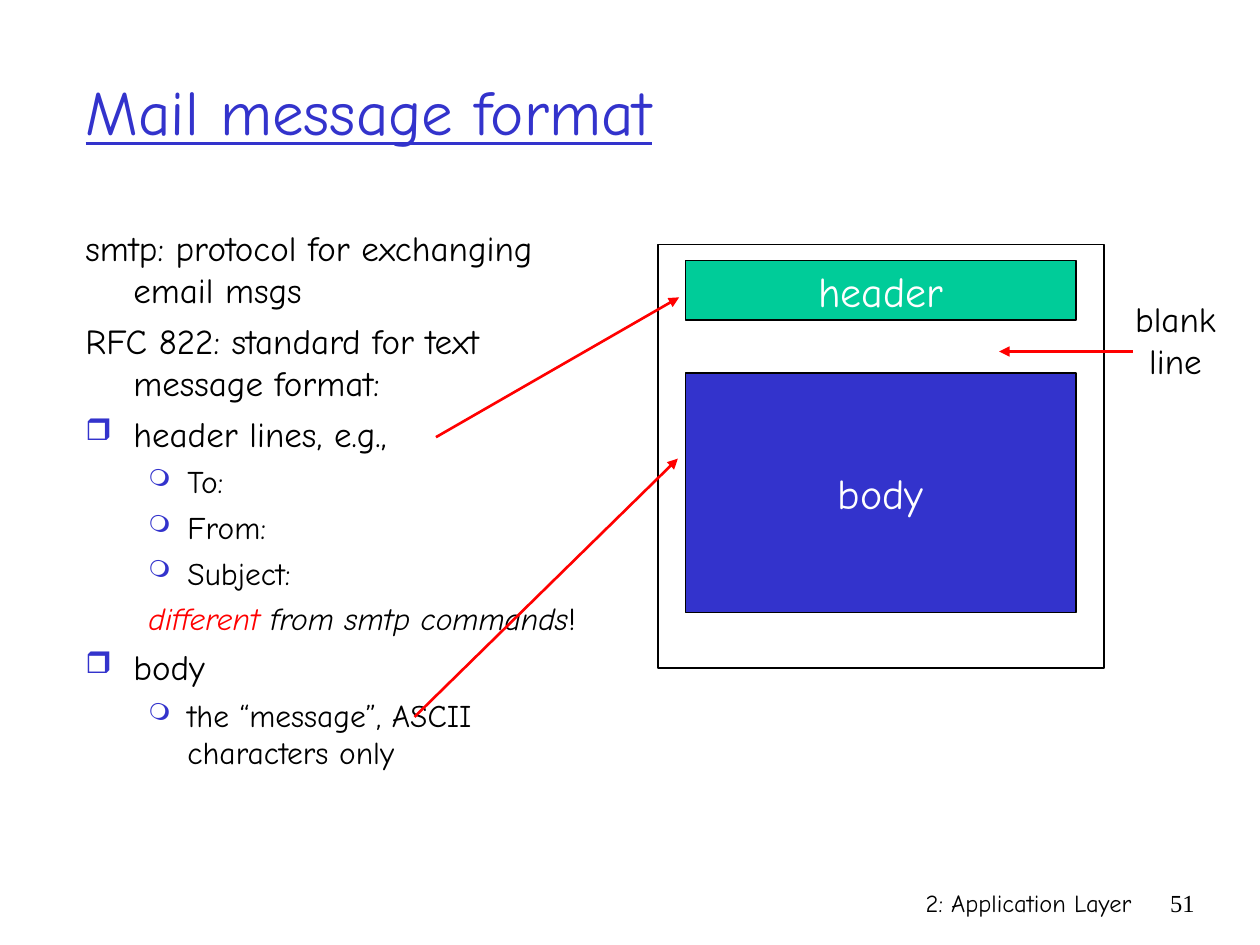
from dataclasses import dataclass

import pptx
import pptx.dml.color
import pptx.enum.shapes
import pptx.enum.text
import pptx.oxml
import pptx.oxml.ns
import pptx.util

Inches = pptx.util.Inches
Pt = pptx.util.Pt
Align = pptx.enum.text.PP_ALIGN
Anchor = pptx.enum.text.MSO_ANCHOR
Shapes = pptx.enum.shapes.MSO_SHAPE


@dataclass(frozen=True)
class Theme:
    font: str = "Comic Neue"
    serif: str = "Times New Roman"
    ink: str = "000000"
    paper: str = "FFFFFF"
    blue: str = "3333CC"
    green: str = "00CC99"
    red: str = "FF0000"
    title: int = 36
    label: int = 24
    text: int = 20
    sub: int = 18
    foot: int = 14


theme = Theme()

# Per level: left margin, hanging indent, type size, space before, bullet, bullet size in %
LEVELS = [
    (0.38, -0.38, theme.text, 5, "❒", 85),
    (0.81, -0.31, theme.sub, 4.5, "❍", 75),
]

# Level, bulleted, runs of (text, colour, italic)
NOTES = [
    (0, False, [("smtp: protocol for exchanging email msgs", theme.ink, False)]),
    (0, False, [("RFC 822: standard for text message format:", theme.ink, False)]),
    (0, True, [("header lines, e.g.,", theme.ink, False)]),
    (1, True, [("To:", theme.ink, False)]),
    (1, True, [("From:", theme.ink, False)]),
    (1, True, [("Subject:", theme.ink, False)]),
    (1, False, [("different ", theme.red, True),
                ("from smtp commands", theme.ink, True),
                ("!", theme.ink, False)]),
    (0, True, [("body", theme.ink, False)]),
    (1, True, [("the “message”, ASCII characters only", theme.ink, False)]),
]


def rgb(code):
    return pptx.dml.color.RGBColor.from_string(code)


def add_run(para, text, size, color=theme.ink, font=theme.font, italic=False):
    run = para.add_run()
    run.text = text
    run.font.size = Pt(size)
    run.font.name = font
    run.font.italic = italic
    run.font.color.rgb = rgb(color)
    return run


def add_xml(parent, tag, body=""):
    space = pptx.oxml.ns.nsdecls("a")
    parent.append(pptx.oxml.parse_xml(f"<a:{tag} {space} {body}"))


def set_bullet(para, mark, size):
    props = para._p.get_or_add_pPr()
    add_xml(props, "buClr", f'><a:srgbClr val="{theme.blue}"/></a:buClr>')
    add_xml(props, "buSzPct", f'val="{size * 1000}"/>')
    add_xml(props, "buChar", f'char="{mark}"/>')


def add_box(slide, box, lines, size, align, font=theme.font, wrap=True):
    frame = slide.shapes.add_textbox(*map(Inches, box)).text_frame
    frame.word_wrap = wrap
    for i, line in enumerate(lines):
        para = frame.paragraphs[0] if i == 0 else frame.add_paragraph()
        para.alignment = align
        add_run(para, line, size, font=font)


def add_title(slide, box, text):
    title = slide.shapes.title
    title.left, title.top, title.width, title.height = map(Inches, box)
    frame = title.text_frame
    frame.word_wrap = True
    frame.auto_size = pptx.enum.text.MSO_AUTO_SIZE.NONE
    frame.vertical_anchor = Anchor.MIDDLE
    para = frame.paragraphs[0]
    para.alignment = Align.LEFT
    add_run(para, text, theme.title, theme.blue).font.underline = True


def add_notes(slide, box):
    """Place the outline of points on the left."""
    frame = slide.shapes.add_textbox(*map(Inches, box)).text_frame
    frame.word_wrap = True
    for i, (level, marked, runs) in enumerate(NOTES):
        margin, indent, size, space, mark, scale = LEVELS[level]
        para = frame.paragraphs[0] if i == 0 else frame.add_paragraph()
        para.level = level
        props = para._p.get_or_add_pPr()
        props.set("marL", str(Inches(margin)))
        props.set("indent", str(Inches(indent)))
        if marked:
            set_bullet(para, mark, scale)
        if i:
            para.space_before = Pt(space)
        for text, color, italic in runs:
            add_run(para, text, size, color, italic=italic)


def add_rect(slide, box, fill=None, width=0.75, text=None):
    rect = slide.shapes.add_shape(Shapes.RECTANGLE, *map(Inches, box))
    rect.shadow.inherit = False
    rect.line.color.rgb = rgb(theme.ink)
    rect.line.width = Pt(width)
    if fill:
        rect.fill.solid()
        rect.fill.fore_color.rgb = rgb(fill)
    else:
        rect.fill.background()
    if text:
        frame = rect.text_frame
        frame.word_wrap = False
        frame.vertical_anchor = Anchor.MIDDLE
        para = frame.paragraphs[0]
        para.alignment = Align.CENTER
        add_run(para, text, theme.label, theme.paper)


def add_mail(slide, box):
    """Draw the message frame with its header and body blocks."""
    left, top, width, height = box
    pad = 0.22
    inner = width - 2 * pad
    add_rect(slide, (left + pad, top + 0.13, inner, 0.47), theme.green, text="header")
    add_rect(slide, (left + pad, top + 1.02, inner, 1.9), theme.blue, text="body")
    add_rect(slide, box, width=1)


def add_arrow(slide, start, end):
    kind = pptx.enum.shapes.MSO_CONNECTOR.STRAIGHT
    arrow = slide.shapes.add_connector(kind, *map(Inches, start + end))
    arrow.line.color.rgb = rgb(theme.red)
    arrow.line.width = Pt(1.5)
    add_xml(arrow.line._get_or_add_ln(), "tailEnd", 'type="triangle"/>')
    add_xml(arrow._element.spPr, "effectLst", "/>")


def add_footer(slide, box):
    left, top, width, height = box
    num = 0.5
    add_box(slide, (left, top, width - num, height), ["2: Application Layer"],
            theme.foot, Align.RIGHT)
    add_box(slide, (left + width - num, top, num, height), ["51"],
            theme.foot, Align.RIGHT, theme.serif)


def main():
    deck = pptx.Presentation()
    deck.slide_width, deck.slide_height = Inches(10), Inches(7.5)
    slide = deck.slides.add_slide(deck.slide_layouts.get_by_name("Title Only"))
    add_footer(slide, (5.92, 7, 3.66, 0.5))
    add_title(slide, (0.58, 0.25, 8.5, 1.25), "Mail message format")
    add_notes(slide, (0.58, 1.75, 4.17, 5.08))
    add_mail(slide, (5.22, 1.94, 3.54, 3.36))
    add_box(slide, (8.91, 2.31, 0.84, 0.77), ["blank", "line"],
            theme.text, Align.CENTER, wrap=False)
    for start, end in [((3.46, 3.47), (5.39, 2.36)),
                       ((3.29, 5.69), (5.38, 3.64)),
                       ((8.99, 2.79), (7.93, 2.79))]:
        add_arrow(slide, start, end)
    deck.save("out.pptx")


if __name__ == "__main__":
    main()
